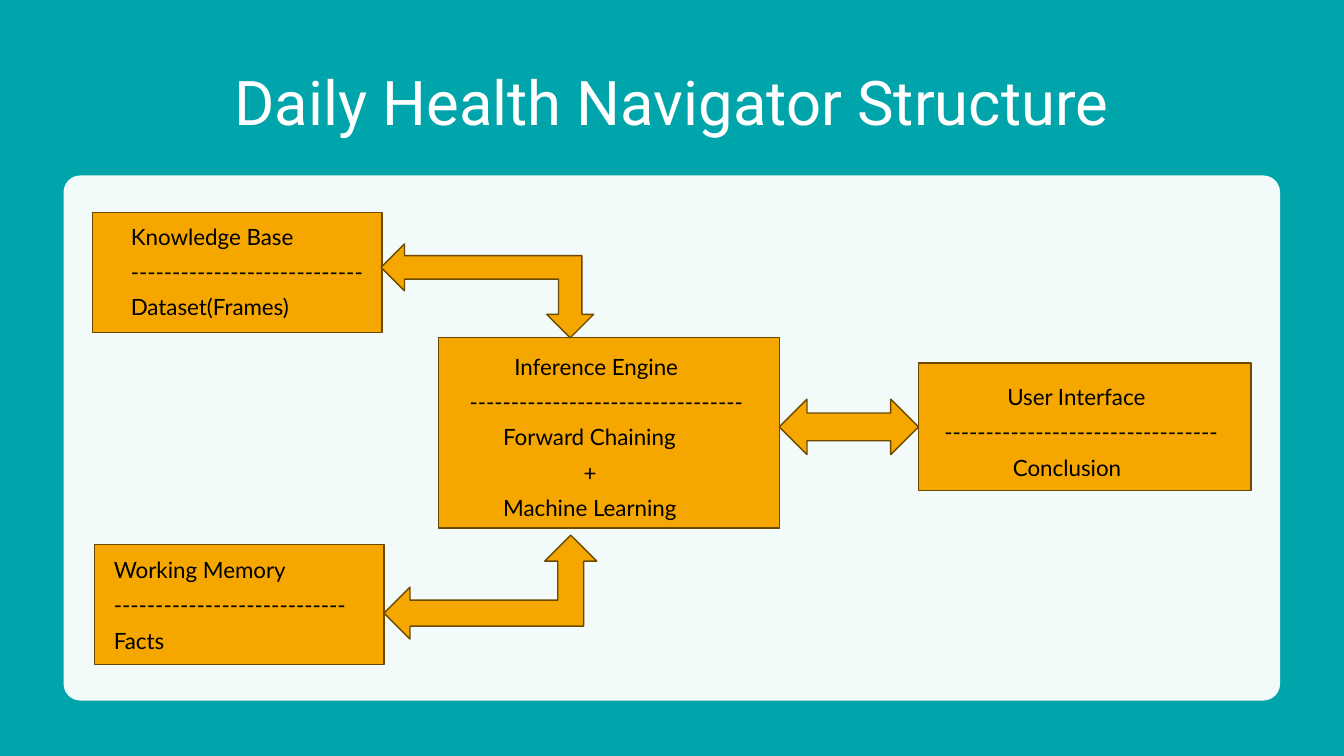
from dataclasses import dataclass

import lxml.etree
import pptx
import pptx.dml.color
import pptx.enum.shapes
import pptx.enum.text
import pptx.oxml.ns
import pptx.util

Pt = pptx.util.Pt
RGB = pptx.dml.color.RGBColor
SHAPE = pptx.enum.shapes.MSO_SHAPE


@dataclass(frozen=True)
class Theme:
    teal: RGB = RGB.from_string("00A5AB")
    white: RGB = RGB.from_string("FFFFFF")
    amber: RGB = RGB.from_string("F5A700")
    brown: RGB = RGB.from_string("6B4900")
    black: RGB = RGB.from_string("000000")
    title_font: str = "Roboto"
    body_font: str = "Lato"
    title_size: float = 44
    body_size: float = 16
    outline: float = 1
    panel_opacity: int = 95
    paragraph_gap: float = 6


@dataclass(frozen=True)
class Frame:
    left: float
    top: float
    width: float
    height: float

    def lengths(self) -> tuple:
        return Pt(self.left), Pt(self.top), Pt(self.width), Pt(self.height)


@dataclass(frozen=True)
class Line:
    text: str
    indent: float = 0


@dataclass(frozen=True)
class Component:
    box: Frame
    label: Frame
    lines: tuple[Line, ...]
    top_inset: float = 3.6


@dataclass(frozen=True)
class Arrow:
    kind: SHAPE
    frame: Frame
    rotation: float = 0


THEME = Theme()

COMPONENTS = (
    Component(
        Frame(66.2, 151.9, 206.6, 85.7),
        Frame(86.4, 155.5, 182.9, 77.8),
        (Line("Knowledge Base"), Line("-" * 28), Line("Dataset(Frames)")),
    ),
    Component(
        Frame(67.7, 388.8, 206.6, 85.7),
        Frame(74.2, 393.8, 186.5, 77.8),
        (Line("Working Memory"), Line("-" * 28), Line("Facts")),
    ),
    Component(
        Frame(313.2, 241.2, 243.4, 136.1),
        Frame(328.3, 245.5, 220.3, 131.8),
        (
            Line("Inference Engine", 32),
            Line("-" * 33),
            Line("Forward Chaining", 24),
            Line("+", 81.5),
            Line("Machine Learning", 24),
        ),
        top_inset=6.6,
    ),
    Component(
        Frame(655.9, 259.2, 237.6, 91.4),
        Frame(667.4, 267.1, 215.3, 80.6),
        (Line("User Interface", 45), Line("-" * 33), Line("Conclusion", 49)),
        top_inset=6.6,
    ),
)

ARROWS = (
    Arrow(SHAPE.LEFT_UP_ARROW, Frame(274.3, 382.3, 151.9, 74.2)),
    Arrow(SHAPE.LEFT_UP_ARROW, Frame(314.6, 131.8, 67, 151.9), rotation=270),
    Arrow(SHAPE.LEFT_RIGHT_ARROW, Frame(556.6, 285.1, 99.4, 39.6)),
)


def style_run(run, font: str, size: float, color: RGB) -> None:
    run.font.name = font
    run.font.size = Pt(size)
    run.font.color.rgb = color


def draw_title(slide, text: str, frame: Frame) -> None:
    title = slide.shapes.add_textbox(*frame.lengths())
    title.text_frame.word_wrap = True
    title.text_frame.vertical_anchor = pptx.enum.text.MSO_ANCHOR.MIDDLE
    title.text_frame.text = text
    heading = title.text_frame.paragraphs[0]
    heading.alignment = pptx.enum.text.PP_ALIGN.CENTER
    heading.line_spacing = 0.9
    style_run(heading.runs[0], THEME.title_font, THEME.title_size, THEME.white)


def draw_panel(slide, frame: Frame) -> None:
    panel = slide.shapes.add_shape(SHAPE.ROUNDED_RECTANGLE, *frame.lengths())
    panel.adjustments[0] = 0.032
    panel.shadow.inherit = False
    panel.line.fill.background()
    panel.fill.solid()
    panel.fill.fore_color.rgb = THEME.white
    tint = panel.fill._xPr.find(".//" + pptx.oxml.ns.qn("a:srgbClr"))
    alpha = lxml.etree.SubElement(tint, pptx.oxml.ns.qn("a:alpha"))
    alpha.set("val", str(THEME.panel_opacity * 1000))


def draw_amber_shape(slide, kind: SHAPE, frame: Frame, rotation: float = 0) -> None:
    amber = slide.shapes.add_shape(kind, *frame.lengths())
    amber.rotation = rotation
    amber.shadow.inherit = False
    amber.fill.solid()
    amber.fill.fore_color.rgb = THEME.amber
    amber.line.color.rgb = THEME.brown
    amber.line.width = Pt(THEME.outline)


def draw_label(slide, component: Component) -> None:
    label = slide.shapes.add_textbox(*component.label.lengths()).text_frame
    label.word_wrap = True
    label.auto_size = pptx.enum.text.MSO_AUTO_SIZE.SHAPE_TO_FIT_TEXT
    label.margin_top = Pt(component.top_inset)
    label.text = "\n".join(line.text for line in component.lines)
    for paragraph, line in zip(label.paragraphs, component.lines):
        paragraph.space_after = Pt(THEME.paragraph_gap)
        paragraph._p.get_or_add_pPr().set("marL", str(Pt(line.indent)))
        style_run(paragraph.runs[0], THEME.body_font, THEME.body_size, THEME.black)


def main() -> None:
    deck = pptx.Presentation()
    deck.slide_width, deck.slide_height = Pt(960), Pt(540)
    slide = deck.slides.add_slide(deck.slide_layouts[6])

    # Teal backdrop, heading and pale panel
    slide.background.fill.solid()
    slide.background.fill.fore_color.rgb = THEME.teal
    draw_title(slide, "Daily Health Navigator Structure", Frame(66, 36, 828, 79.2))
    draw_panel(slide, Frame(45.4, 125.3, 869, 375.1))

    # System components
    for component in COMPONENTS:
        draw_amber_shape(slide, SHAPE.RECTANGLE, component.box)
        draw_label(slide, component)

    # Two-way flows between components
    for arrow in ARROWS:
        draw_amber_shape(slide, arrow.kind, arrow.frame, arrow.rotation)

    deck.save("out.pptx")


if __name__ == "__main__":
    main()
